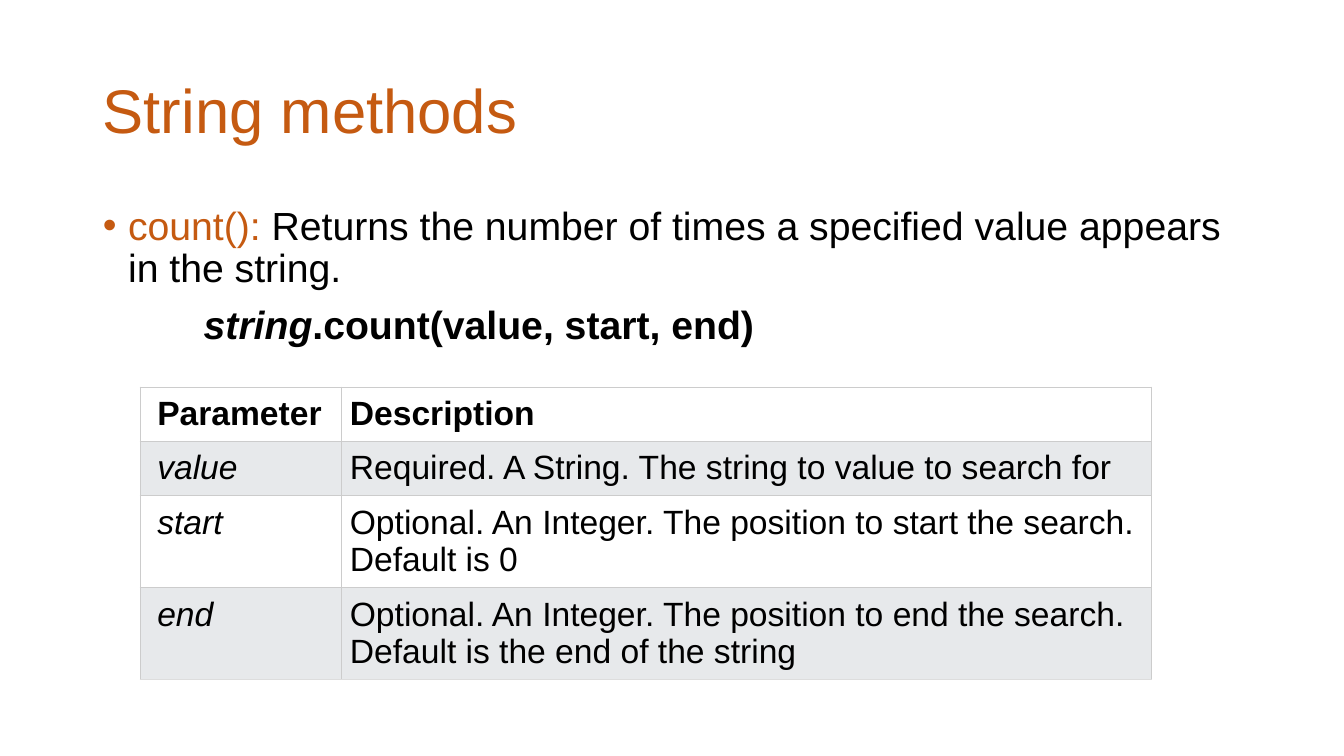
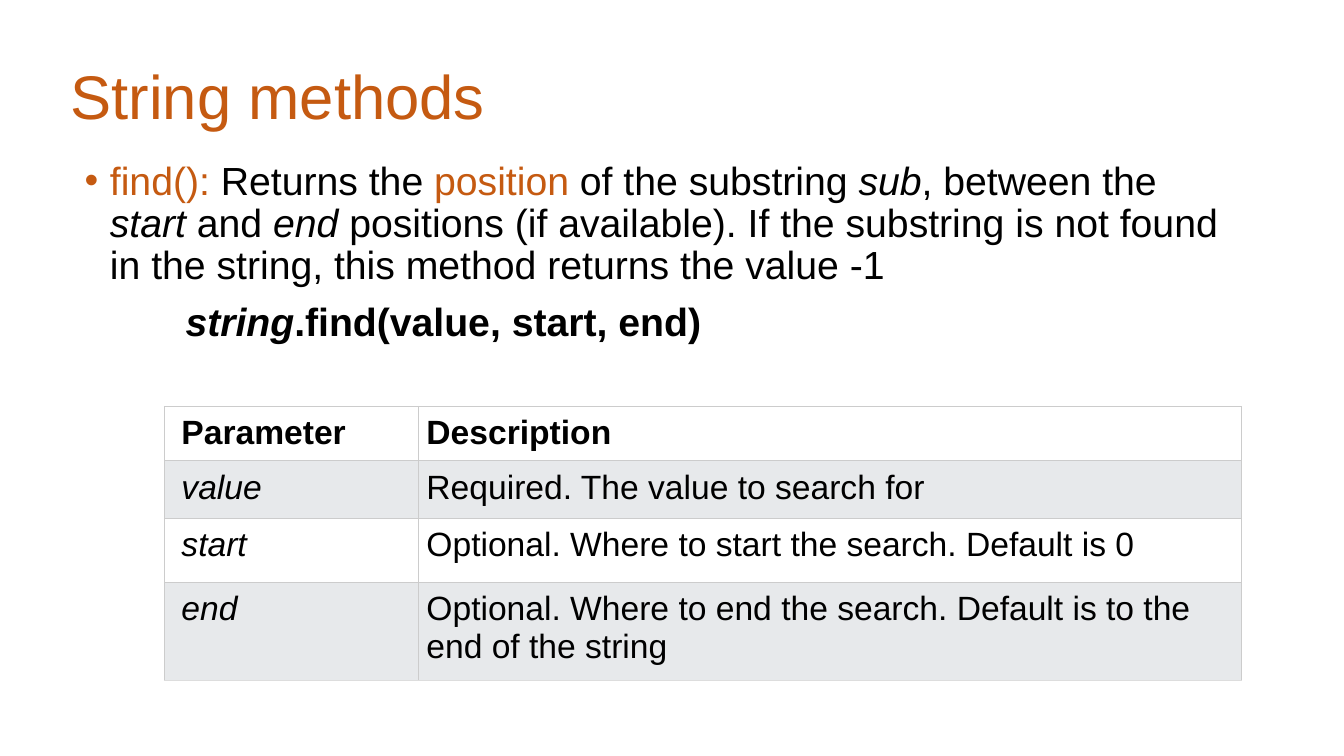
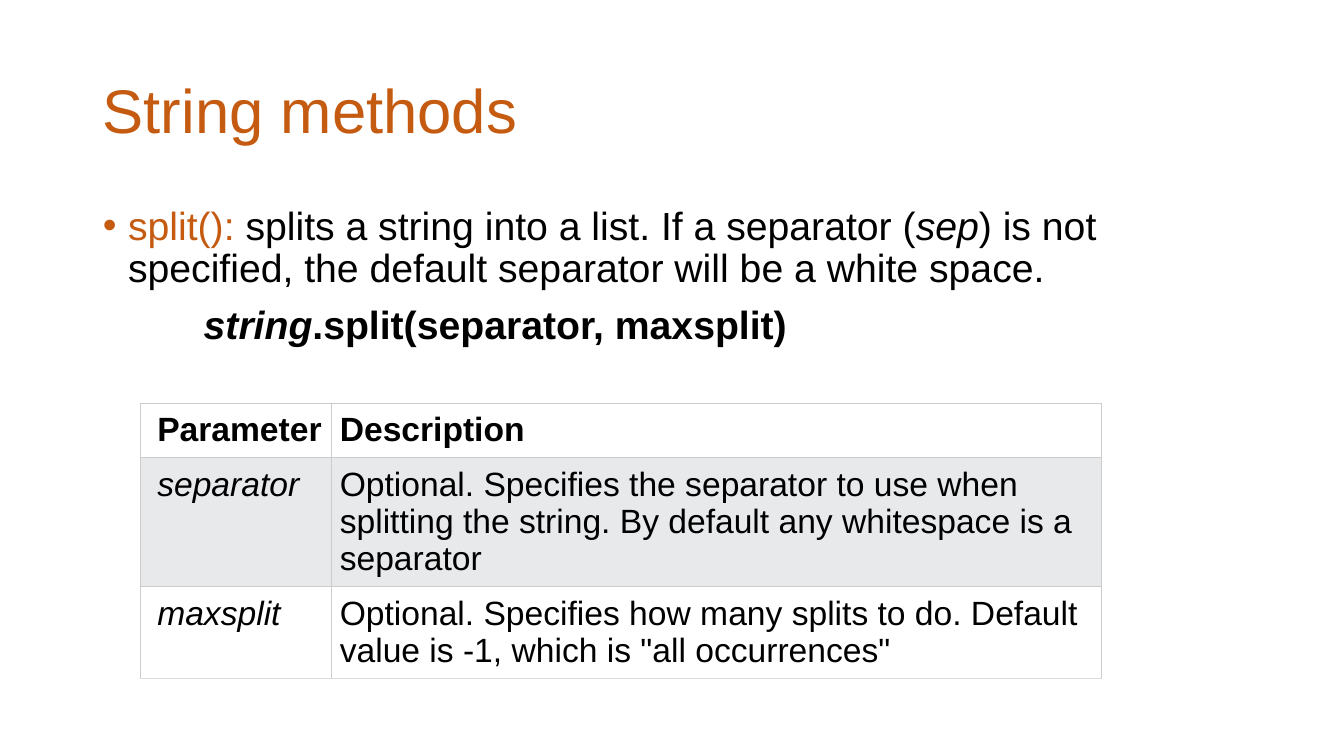
"""Build three slides that explain the string methods count, find and split."""
import dataclasses

import lxml.etree
import pptx
import pptx.dml.color
import pptx.enum.text
import pptx.oxml.ns
import pptx.util
from pptx.util import Inches


@dataclasses.dataclass(frozen=True)
class Theme:
    font: str = "Arial"
    accent: str = "C55A11"
    ink: str = "000000"
    white: str = "FFFFFF"
    band: str = "E7E9EB"
    border: str = "CCCCCC"
    bottom_border: str = "DDDDDD"
    title_size: int = 44
    body_size: int = 28
    table_size: int = 24
    border_width: float = 0.75


THEME = Theme()


def style_run(span, size, colour=THEME.ink, bold=False, italic=False):
    span.font.name = THEME.font
    span.font.size = pptx.util.Pt(size)
    span.font.color.rgb = pptx.dml.color.RGBColor.from_string(colour)
    span.font.bold = bold
    span.font.italic = italic


def set_borders(cell, bottom_colour):
    properties = cell._tc.get_or_add_tcPr()
    for index, side in enumerate("LRTB"):
        line = lxml.etree.Element(pptx.oxml.ns.qn(f"a:ln{side}"))
        line.set("w", str(pptx.util.Pt(THEME.border_width)))
        fill = lxml.etree.SubElement(line, pptx.oxml.ns.qn("a:solidFill"))
        colour = lxml.etree.SubElement(fill, pptx.oxml.ns.qn("a:srgbClr"))
        colour.set("val", bottom_colour if side == "B" else THEME.border)
        properties.insert(index, line)


PLAIN = {}
ACCENT = {"colour": THEME.accent}
ITALIC = {"italic": True}
BOLD = {"bold": True}

METHODS = [
    {
        "title_at": (0.92, 0.4),
        "body_at": (0.92, 2),
        "summary": [
            ("count(): ", ACCENT),
            ("Returns the number of times a specified value appears in the string.", PLAIN),
        ],
        "call": ".count(value, start, end)",
        "table_at": (1.39, 3.84),
        "columns": (2, 8.03),
        "rows": (0.54, 0.54, 0.91, 0.91),
        "parameters": [
            ("value", "Required. A String. The string to value to search for"),
            ("start", "Optional. An Integer. The position to start the search. Default is 0"),
            ("end", "Optional. An Integer. The position to end the search. "
                    "Default is the end of the string"),
        ],
    },
    {
        "title_at": (0.6, 0.26),
        "body_at": (0.74, 1.55),
        "summary": [
            ("find(): ", ACCENT),
            ("Returns the ", PLAIN),
            ("position", ACCENT),
            (" of the substring ", PLAIN),
            ("sub", ITALIC),
            (", between the ", PLAIN),
            ("start", ITALIC),
            (" and ", PLAIN),
            ("end", ITALIC),
            (" positions (if available). If the substring is not found in the string, "
             "this method returns the value -1", PLAIN),
        ],
        "call": ".find(value, start, end)",
        "table_at": (1.63, 4.03),
        "columns": (2.52, 8.16),
        "rows": (0.54, 0.57, 0.64, 0.97),
        "parameters": [
            ("value", "Required. The value to search for"),
            ("start", "Optional. Where to start the search. Default is 0"),
            ("end", "Optional. Where to end the search. Default is to the end of the string"),
        ],
    },
    {
        "title_at": (0.92, 0.4),
        "body_at": (0.92, 2),
        "summary": [
            ("split(): ", ACCENT),
            ("splits a string into a list. If a separator (", PLAIN),
            ("sep", ITALIC),
            (") is not specified, the default separator will be a white space.", PLAIN),
        ],
        "call": ".split(separator, maxsplit)",
        "table_at": (1.39, 4),
        "columns": (1.9, 7.63),
        "rows": (0.54, 1.28, 0.91),
        "parameters": [
            ("separator", "Optional. Specifies the separator to use when splitting the string. "
                          "By default any whitespace is a separator"),
            ("maxsplit", "Optional. Specifies how many splits to do. "
                         "Default value is -1, which is \"all occurrences\""),
        ],
    },
]

deck = pptx.Presentation()
deck.slide_width = Inches(13.33)
deck.slide_height = Inches(7.5)

for method in METHODS:
    page = deck.slides.add_slide(deck.slide_layouts[1])
    title, body = page.placeholders
    for box, place, height in ((title, "title_at", 1.45), (body, "body_at", 4.76)):
        box.left, box.top = map(Inches, method[place])
        box.width, box.height = Inches(11.5), Inches(height)
        box.text_frame.auto_size = pptx.enum.text.MSO_AUTO_SIZE.NONE

    title.text_frame.text = "String methods"
    heading = title.text_frame.paragraphs[0]
    heading.alignment = pptx.enum.text.PP_ALIGN.LEFT
    heading.line_spacing = 0.9
    style_run(heading.runs[0], THEME.title_size, THEME.accent)

    summary = body.text_frame.paragraphs[0]
    syntax = body.text_frame.add_paragraph()
    syntax_spans = [("string", BOLD | ITALIC), (method["call"], BOLD)]
    for para, spans, margin, indent in (
        (summary, method["summary"], 0.25, -0.25),
        (syntax, syntax_spans, 1, 0),
    ):
        para.line_spacing = 0.9
        para.space_before = pptx.util.Pt(10)
        para._p.pPr.set("marL", str(Inches(margin)))
        para._p.pPr.set("indent", str(Inches(indent)))
        for text, style in spans:
            span = para.add_run()
            span.text = text
            style_run(span, THEME.body_size, **style)
    lxml.etree.SubElement(syntax._p.pPr, pptx.oxml.ns.qn("a:buNone"))

    entries = [("Parameter", "Description"), *method["parameters"]]
    left, top = map(Inches, method["table_at"])
    width, height = Inches(sum(method["columns"])), Inches(sum(method["rows"]))
    table = page.shapes.add_table(len(entries), 2, left, top, width, height).table
    for column, column_width in zip(table.columns, method["columns"]):
        column.width = Inches(column_width)
    for row, row_height in zip(table.rows, method["rows"]):
        row.height = Inches(row_height)

    for row_index, entry in enumerate(entries):
        is_header = row_index == 0
        is_last = row_index == len(entries) - 1
        fill_colour = THEME.band if row_index % 2 else THEME.white
        for column_index, text in enumerate(entry):
            cell = table.cell(row_index, column_index)
            cell.text_frame.text = text
            is_name = column_index == 0
            style_run(cell.text_frame.paragraphs[0].runs[0], THEME.table_size,
                      bold=is_header, italic=is_name and not is_header)
            cell.margin_left = Inches(0.17 if is_name else 0.08)
            cell.margin_right = cell.margin_top = cell.margin_bottom = Inches(0.08)
            cell.fill.solid()
            cell.fill.fore_color.rgb = pptx.dml.color.RGBColor.from_string(fill_colour)
            set_borders(cell, THEME.bottom_border if is_last else THEME.border)

deck.save("out.pptx")
